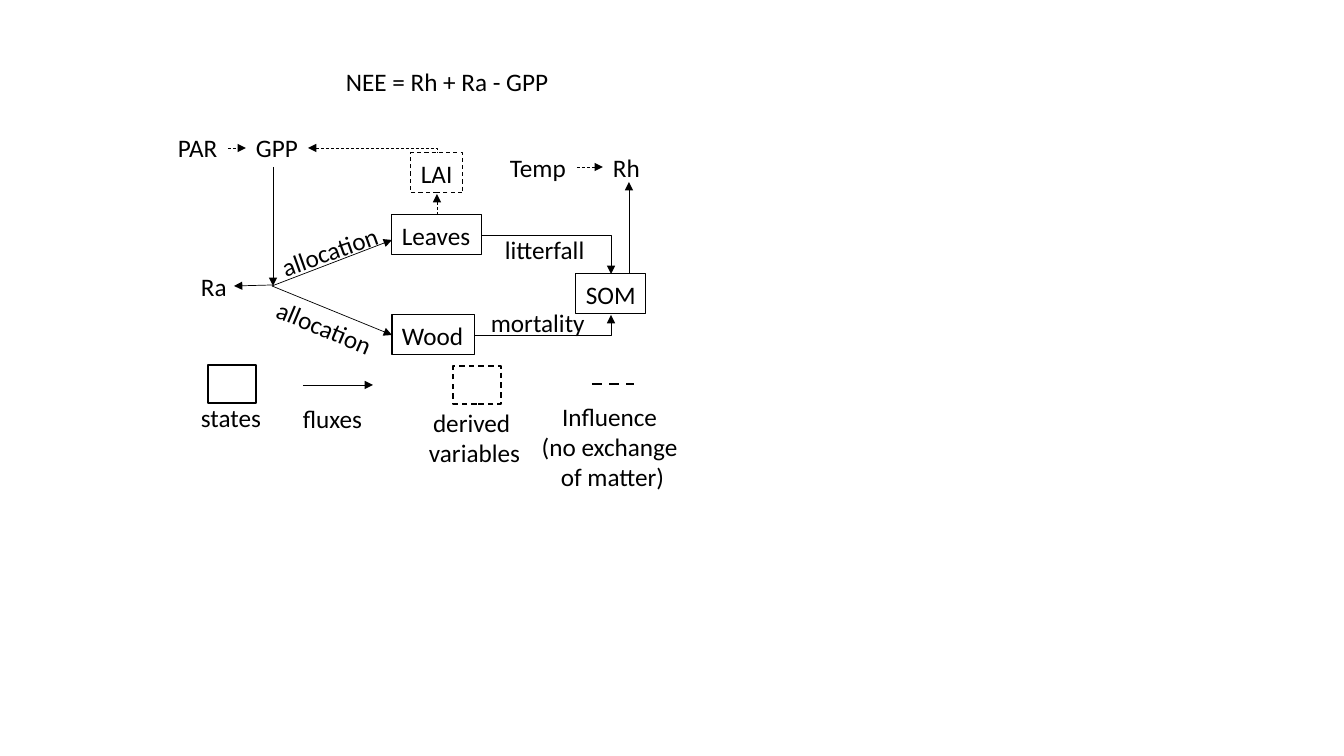
from lxml.etree import SubElement
from pptx import Presentation
from pptx.dml.color import RGBColor
from pptx.enum.dml import MSO_LINE
from pptx.enum.shapes import MSO_CONNECTOR, MSO_SHAPE
from pptx.enum.text import MSO_ANCHOR, PP_ALIGN
from pptx.oxml.ns import qn
from pptx.util import Pt

PIXEL = 914400 / 100.8
BLACK = "000000"


def color(value):
    return RGBColor.from_string(value)


def write(shape, text, align):
    frame = shape.text_frame
    frame.word_wrap = False
    frame.vertical_anchor = MSO_ANCHOR.TOP
    frame.text = text
    for para in frame.paragraphs:
        para.alignment = align
        para.font.name = "Calibri"
        para.font.size = Pt(18)
        para.font.color.rgb = color(BLACK)


deck = Presentation()
deck.slide_width = round(1344 * PIXEL)
deck.slide_height = round(756 * PIXEL)
page = deck.slides.add_slide(deck.slide_layouts[6])

boxes = [
    ("Leaves", 392, 215, 90, 40, 0.75, False),
    ("SOM", 576, 274, 70, 40, 0.75, False),
    ("Wood", 392, 315, 83, 40, 0.75, False),
    ("LAI", 411, 153, 52, 40, 0.75, True),
    ("", 208, 365, 48, 38, 1, False),
    ("", 453, 366, 48, 38, 1, True),
]
for text, left, top, width, height, weight, dashed in boxes:
    box = page.shapes.add_shape(
        MSO_SHAPE.RECTANGLE, *[round(n * PIXEL) for n in (left, top, width, height)]
    )
    box.shadow.inherit = False
    box.fill.background()
    box.line.color.rgb = color(BLACK)
    box.line.width = Pt(weight)
    if dashed:
        box.line.dash_style = MSO_LINE.DASH
    if text:
        write(box, text, PP_ALIGN.LEFT)

STRAIGHT, ELBOW = MSO_CONNECTOR.STRAIGHT, MSO_CONNECTOR.ELBOW
connectors = [
    (ELBOW, 482, 235, 611, 274, 0.5, False, "tailEnd"),
    (ELBOW, 475, 335, 611, 315, 0.5, False, "tailEnd"),
    (ELBOW, 308, 148, 437, 153, 0.5, True, "headEnd"),
    (STRAIGHT, 272, 285, 234, 286, 0.5, False, "tailEnd"),
    (STRAIGHT, 272, 286, 392, 240, 0.5, False, "tailEnd"),
    (STRAIGHT, 272, 286, 392, 335, 0.5, False, "tailEnd"),
    (STRAIGHT, 629, 273, 629, 182, 0.5, False, "tailEnd"),
    (STRAIGHT, 437, 215, 437, 194, 0.5, True, "tailEnd"),
    (STRAIGHT, 303, 385, 373, 385, 0.5, False, "tailEnd"),
    (STRAIGHT, 273, 167, 273, 286, 0.5, False, "tailEnd"),
    (STRAIGHT, 228, 148, 246, 148, 0.5, True, "tailEnd"),
    (STRAIGHT, 577, 167, 603, 167, 0.5, True, "tailEnd"),
    (STRAIGHT, 592, 384, 634, 384, 1.75, True, None),
]
for kind, x1, y1, x2, y2, weight, dashed, arrow in connectors:
    connector = page.shapes.add_connector(
        kind, *[round(n * PIXEL) for n in (x1, y1, x2, y2)]
    )
    connector.line.color.rgb = color(BLACK)
    connector.line.width = Pt(weight)
    if dashed:
        connector.line.dash_style = MSO_LINE.DASH
    properties = connector._element.spPr
    if kind == ELBOW:
        properties.find(qn("a:prstGeom")).set("prst", "bentConnector2")
    if arrow:
        SubElement(properties.find(qn("a:ln")), qn("a:" + arrow), type="triangle")
    SubElement(properties, qn("a:effectLst"))

LEFT, CENTER = PP_ALIGN.LEFT, PP_ALIGN.CENTER
labels = [
    ("NEE = Rh + Ra - GPP", 336, 61, 225, 40, LEFT, 0),
    ("PAR", 168, 127, 60, 40, LEFT, 0),
    ("GPP", 246, 127, 62, 40, LEFT, 0),
    ("Temp", 500, 147, 77, 40, LEFT, 0),
    ("Rh", 603, 147, 47, 40, LEFT, 0),
    ("Ra", 191, 266, 46, 40, LEFT, 0),
    ("litterfall", 495, 229, 101, 40, LEFT, 0),
    ("mortality", 481, 302, 115, 40, LEFT, 0),
    ("allocation", 266, 231, 127, 40, CENTER, -19.7),
    ("allocation", 261, 307, 127, 40, CENTER, 22.7),
    ("states", 191, 397, 81, 40, LEFT, 0),
    ("fluxes", 293, 398, 81, 40, LEFT, 0),
    ("derived \nvariables", 418, 402, 113, 72, CENTER, 0),
    ("Influence \n(no exchange \nof matter)", 531, 396, 163, 102, CENTER, 0),
]
for text, left, top, width, height, align, rotation in labels:
    label = page.shapes.add_textbox(
        *[round(n * PIXEL) for n in (left, top, width, height)]
    )
    label.rotation = rotation
    write(label, text, align)

deck.save("out.pptx")
